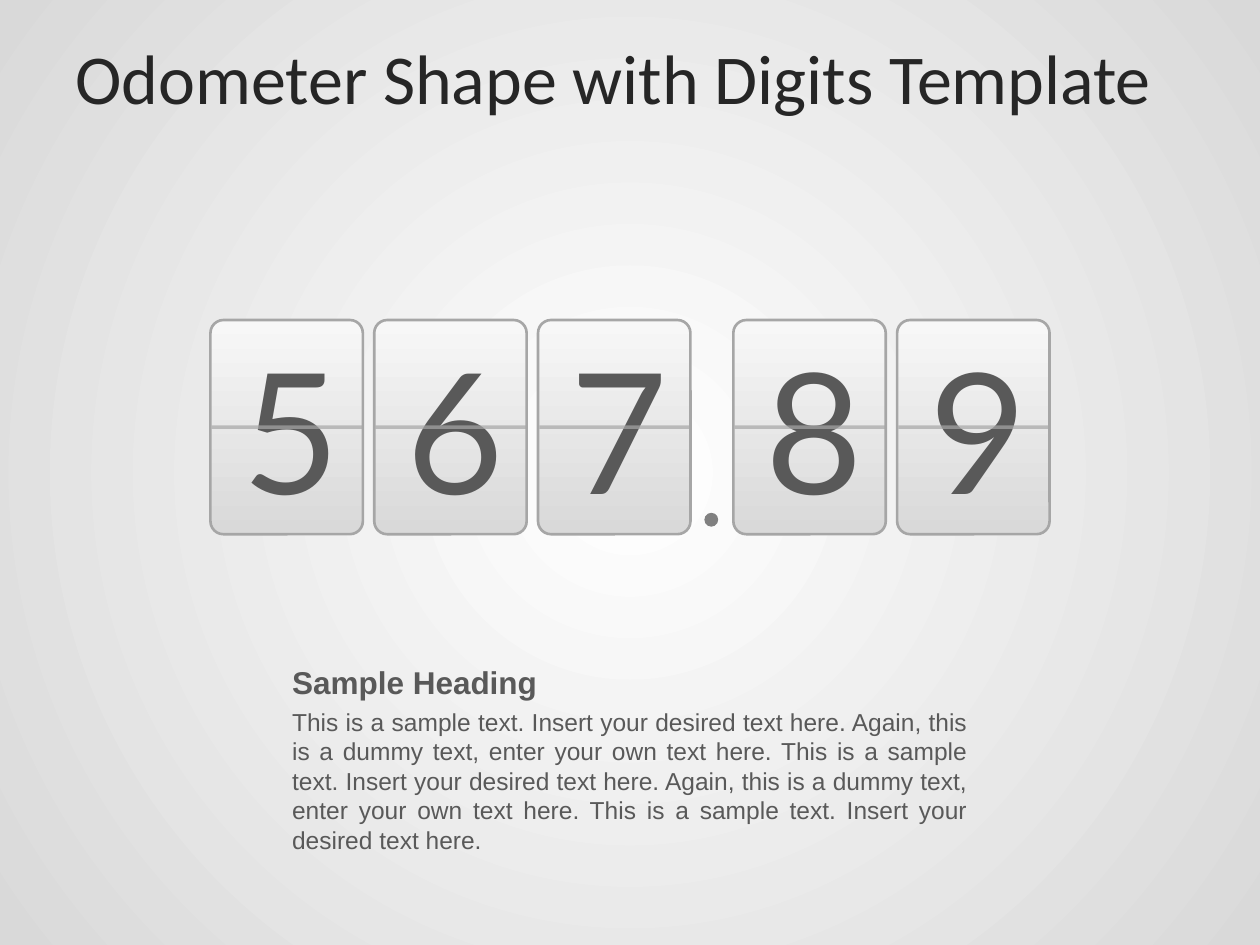
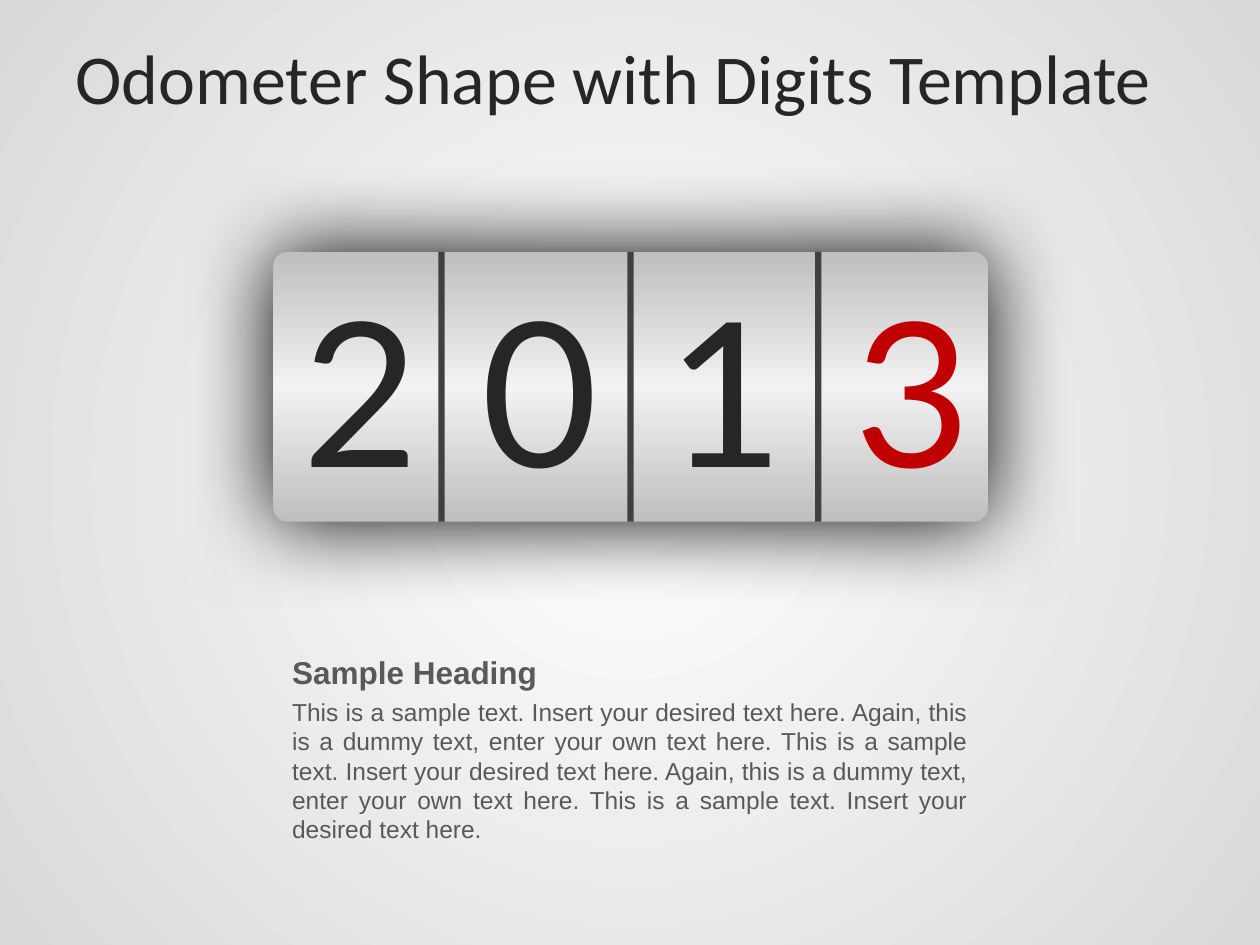
from lxml import etree
from pptx import Presentation
from pptx.dml.color import RGBColor
from pptx.enum.shapes import MSO_CONNECTOR, MSO_SHAPE
from pptx.enum.text import MSO_ANCHOR, MSO_AUTO_SIZE, PP_ALIGN
from pptx.oxml import parse_xml
from pptx.oxml.ns import nsdecls, qn
from pptx.util import Inches, Pt

TITLE = "Odometer Shape with Digits Template"
HEADING = "Sample Heading"
BODY = (
    "This is a sample text. Insert your desired text here. Again, this is a dummy text, "
    "enter your own text here. This is a sample text. Insert your desired text here. "
    "Again, this is a dummy text, enter your own text here. This is a sample text. "
    "Insert your desired text here."
)
CARD_GROUPS = [(1.67, "567"), (5.82, "89")]  # left edge, digits
WHEEL_DIGITS = [  # digit, left edge, colour
    ("2", 2.3, "ink"), ("0", 3.72, "ink"), ("1", 5.2, "ink"), ("3", 6.68, "red"),
]
SEPARATORS = [3.48, 4.98, 6.47]

COLORS = {
    "ink": "262626", "text": "595959", "red": "C00000", "edge": "A6A6A6",
    "point": "808080", "separator": "404040", "white": "FFFFFF", "light": "F7F7F7",
    "shade": "D9D9D9", "metal": "BFBFBF", "shine": "F2F2F2", "shadow": "000000",
}
RADIAL = ('<a:path path="circle"><a:fillToRect l="50000" t="50000" r="50000" b="50000"/>'
          '</a:path>')
DOWNWARD = '<a:lin ang="5400000" scaled="0"/>'

CARD_W, CARD_H, CARD_TOP, CARD_PITCH = 1.21, 1.7, 2.54, 1.3
DIGIT_W, DIGIT_H = 0.89, 1.72
WHEEL_TOP, WHEEL_H = 2, 2.14


def rgb(name):
    """Return a palette colour."""
    return RGBColor.from_string(COLORS[name])


def set_gradient(fill, parent, names, direction):
    """Fill with evenly spaced colour stops."""
    fill.solid()
    stops = "".join(
        f'<a:gs pos="{100000 * i // (len(names) - 1)}"><a:srgbClr val="{COLORS[name]}"/></a:gs>'
        for i, name in enumerate(names))
    gradient = parse_xml(f'<a:gradFill {nsdecls("a")} rotWithShape="1">'
                         f'<a:gsLst>{stops}</a:gsLst>{direction}</a:gradFill>')
    parent.replace(parent.find(qn("a:solidFill")), gradient)


def add_text(shapes, text, box, size, font, color, align=PP_ALIGN.LEFT,
             anchor=MSO_ANCHOR.MIDDLE, bold=False, pad=0.05):
    """Add a wrapped one-paragraph text box and return its frame."""
    frame = shapes.add_textbox(*map(Inches, box)).text_frame
    frame.word_wrap = True
    frame.vertical_anchor = anchor
    frame.margin_top = frame.margin_bottom = Inches(pad)
    paragraph = frame.paragraphs[0]
    paragraph.text = text
    paragraph.alignment = align
    paragraph.font.size = Pt(size)
    paragraph.font.name = font
    paragraph.font.bold = bold
    paragraph.font.color.rgb = rgb(color)
    return frame


def add_digit(shapes, digit, box, size, color):
    """Add one centred digit that keeps its natural width."""
    frame = add_text(shapes, digit, box, size, "Lato", color, PP_ALIGN.CENTER)
    frame.word_wrap = False
    frame.auto_size = MSO_AUTO_SIZE.SHAPE_TO_FIT_TEXT


def add_plain(shapes, kind, box, color=None):
    """Add a borderless shape without shadow, filled if a colour is given."""
    shape = shapes.add_shape(kind, *map(Inches, box))
    shape.shadow.inherit = False
    shape.line.fill.background()
    if color:
        shape.fill.solid()
        shape.fill.fore_color.rgb = rgb(color)
    return shape


def add_card(slide, digit, left):
    """Add a flip card: panel, digit and translucent fold line."""
    shapes = slide.shapes.add_group_shape().shapes
    panel = add_plain(shapes, MSO_SHAPE.ROUNDED_RECTANGLE, (left, CARD_TOP, CARD_W, CARD_H))
    panel.adjustments[0] = 0.085
    set_gradient(panel.fill, panel.element.spPr, ["light", "shade"], DOWNWARD)
    panel.line.color.rgb = rgb("edge")
    panel.line.width = Pt(1.5)

    middle = CARD_TOP + CARD_H / 2
    add_digit(shapes, digit, (left + (CARD_W - DIGIT_W) / 2, middle - DIGIT_H / 2,
                              DIGIT_W, DIGIT_H), 96, "text")
    fold = shapes.add_connector(MSO_CONNECTOR.STRAIGHT, Inches(left + 0.01), Inches(middle),
                                Inches(left + CARD_W), Inches(middle))
    fold.line.color.rgb = rgb("edge")
    fold.line.width = Pt(2)
    properties = fold.element.spPr
    etree.SubElement(properties.find(".//" + qn("a:srgbClr")), qn("a:alpha"), val="70000")
    etree.SubElement(properties, qn("a:effectLst"))


def add_wheel(slide):
    """Add the metal drum with its glow, digits and separators."""
    drum = add_plain(slide.shapes, MSO_SHAPE.ROUNDED_RECTANGLE, (2.17, WHEEL_TOP, 5.67, WHEEL_H))
    drum.adjustments[0] = 0.052
    properties = drum.element.spPr
    set_gradient(drum.fill, properties, ["metal", "shine", "metal"], DOWNWARD)
    glow = etree.SubElement(properties.find(qn("a:effectLst")), qn("a:outerShdw"),
                            blurRad=str(Pt(50)), dist="0", dir="0", algn="ctr", rotWithShape="0")
    etree.SubElement(glow, qn("a:srgbClr"), val=COLORS["shadow"])
    for digit, left, color in WHEEL_DIGITS:
        add_digit(slide.shapes, digit, (left, 2.05, 1.07, 2.04), 115, color)
    for left in SEPARATORS:
        add_plain(slide.shapes, MSO_SHAPE.RECTANGLE, (left, WHEEL_TOP, 0.05, WHEEL_H), "separator")


def add_slide(deck, caption_top):
    """Add a slide with the shared background, title and caption."""
    slide = deck.slides.add_slide(deck.slide_layouts[6])
    fill = slide.background.fill
    fill.solid()
    set_gradient(fill, slide.element.find(".//" + qn("p:bgPr")), ["white", "shade"], RADIAL)
    add_text(slide.shapes, TITLE, (0.5, 0.17, 9, 0.87), 40, "Calibri", "ink")
    caption = slide.shapes.add_group_shape().shapes
    add_text(caption, HEADING, (2.22, caption_top, 3, 0.33), 18, "Arial", "text", bold=True)
    add_text(caption, BODY, (2.22, caption_top + 0.36, 5.56, 1.48), 14, "Arial", "text",
             PP_ALIGN.JUSTIFY, MSO_ANCHOR.TOP, pad=0)
    return slide


deck = Presentation()
deck.slide_width, deck.slide_height = Inches(10), Inches(7.5)

counter = add_slide(deck, 5.25)
add_plain(counter.shapes, MSO_SHAPE.OVAL, (5.59, 4.07, 0.11, 0.11), "point")
for start, digits in CARD_GROUPS:
    for position, digit in enumerate(digits):
        add_card(counter, digit, start + position * CARD_PITCH)

add_wheel(add_slide(deck, 5.17))

deck.save("out.pptx")
